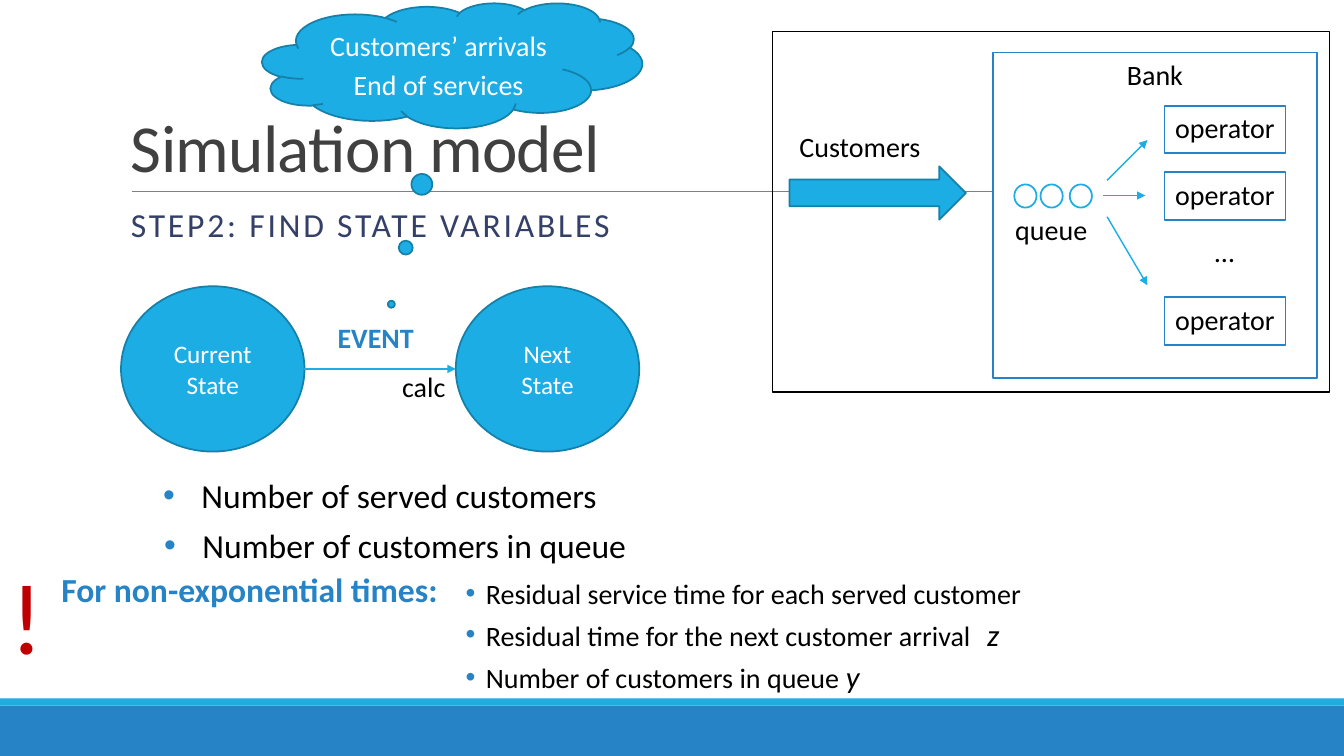
"""Build the simulation model slide about finding state variables."""
import pptx
import pptx.dml.color
import pptx.enum.shapes
import pptx.enum.text
import pptx.oxml.ns
import pptx.util
from lxml import etree

Inches = pptx.util.Inches
Pt = pptx.util.Pt
RGBColor = pptx.dml.color.RGBColor
Shape = pptx.enum.shapes.MSO_SHAPE
Align = pptx.enum.text.PP_ALIGN
Anchor = pptx.enum.text.MSO_ANCHOR
qn = pptx.oxml.ns.qn

SKY = RGBColor(0x1C, 0xAD, 0xE4)
SKY_EDGE = RGBColor(0x15, 0x80, 0xA9)
BLUE = RGBColor(0x26, 0x83, 0xC6)
NAVY = RGBColor(0x34, 0x40, 0x68)
CHARCOAL = RGBColor(0x40, 0x40, 0x40)
GRAY = RGBColor(0x80, 0x80, 0x80)
RED = RGBColor(0xC0, 0, 0)
BLACK = RGBColor(0, 0, 0)
WHITE = RGBColor(0xFF, 0xFF, 0xFF)

FOOTER_BARS = [((0, 7, 13.33, 0.5), BLUE), ((0, 6.93, 13.33, 0.07), SKY)]
TITLE = "Simulation model"
SUBTITLE = "STEP2: FIND STATE VARIABLES"
STATES = [("Current\vState", 1.2), ("Next\vState", 4.52)]
EVENTS = "Customers’ arrivals\nEnd of services"
OPERATOR_TOPS = [1.05, 1.71, 2.95]
QUEUE_LEFTS = [10.06, 10.32, 10.61]
QUEUE_ARROWS = [
    (10.98, 1.79, 11.38, 1.39),
    (10.94, 1.94, 11.36, 1.94),
    (10.98, 2.15, 11.38, 2.83),
]
LABELS = [
    ("calc", (3.89, 3.62, 0.64, 0.44), 20, BLACK, False),
    ("Customers", (7.83, 1.24, 1.41, 0.44), 20, BLACK, False),
    ("…", (11.95, 2.28, 0.39, 0.44), 20, BLACK, False),
    ("queue", (9.97, 2.06, 0.92, 0.44), 20, BLACK, False),
    ("EVENT", (3.25, 3.13, 0.96, 0.44), 20, BLUE, True),
    ("For non-exponential times:", (0.51, 5.59, 3.98, 0.5), 24, BLUE, True),
    ("!", (0.01, 5.44, 0.53, 1.31), 72, RED, False),
]
MAIN_VARIABLES = [
    ("Number of served customers", (1.52, 4.46, 4.54, 0.64)),
    ("Number of customers in queue", (1.53, 4.96, 4.82, 0.64)),
]
EXTRA_VARIABLES = [
    ("Residual service time for each served customer", "", (4.52, 5.67, 5.95, 0.44)),
    ("Residual time for the next customer arrival\t", "z", (4.52, 6.06, 5.57, 0.47)),
    ("Number of customers in queue ", "y", (4.52, 6.48, 4.14, 0.47)),
]
SYMBOL_TAB = 5.2


def style_text(box, text, size, color, bold=False, align=None, spacing=None):
    box.text_frame.text = text
    for para in box.text_frame.paragraphs:
        para.alignment = align
        para.line_spacing = spacing
        for span in para.runs:
            style_span(span, size, color, bold)


def style_span(span, size, color, bold=False):
    span.font.name = "Calibri"
    span.font.size = Pt(size)
    span.font.color.rgb = color
    span.font.bold = bold


def add_figure(page, kind, place, fill=None, edge=None, width=1.25):
    figure = page.shapes.add_shape(kind, *map(Inches, place))
    figure.shadow.inherit = False
    if fill is None:
        figure.fill.background()
    else:
        figure.fill.solid()
        figure.fill.fore_color.rgb = fill
    if edge is None:
        figure.line.fill.background()
    else:
        figure.line.color.rgb = edge
        figure.line.width = Pt(width)
    return figure


def add_line(page, ends, color, width, arrow=True):
    line = page.shapes.add_connector(
        pptx.enum.shapes.MSO_CONNECTOR.STRAIGHT, *map(Inches, ends))
    line.line.color.rgb = color
    line.line.width = Pt(width)
    if arrow:
        etree.SubElement(line.line._get_or_add_ln(), qn("a:tailEnd"), type="triangle")
    etree.SubElement(line._element.spPr, qn("a:effectLst"))


def add_label(page, text, place, size, color, bold=False, spacing=None):
    box = page.shapes.add_textbox(*map(Inches, place))
    box.text_frame.word_wrap = False
    box.text_frame.auto_size = pptx.enum.text.MSO_AUTO_SIZE.SHAPE_TO_FIT_TEXT
    style_text(box, text, size, color, bold, spacing=spacing)
    return box


def add_heading(page, text, place, size, color, spacing, tracking, anchor):
    box = page.shapes.add_textbox(*map(Inches, place))
    box.text_frame.word_wrap = True
    box.text_frame.vertical_anchor = anchor
    style_text(box, text, size, color, spacing=spacing)
    box.text_frame.paragraphs[0].runs[0].font._element.set("spc", str(tracking))


def add_bullet(para, indent, tab=None):
    properties = para._p.get_or_add_pPr()
    properties.set("marL", str(Inches(indent)))
    properties.set("indent", str(-Inches(indent)))
    color = etree.SubElement(properties, qn("a:buClr"))
    etree.SubElement(color, qn("a:srgbClr"), val=str(BLUE))
    etree.SubElement(properties, qn("a:buFont"), typeface="Arial")
    etree.SubElement(properties, qn("a:buChar"), char="•")
    if tab:
        tabs = etree.SubElement(properties, qn("a:tabLst"))
        etree.SubElement(tabs, qn("a:tab"), pos=str(Inches(tab)), algn="l")


def add_bank(page):
    bank = add_figure(page, Shape.RECTANGLE, (9.85, 0.52, 3.21, 3.23), WHITE, BLUE)
    bank.text_frame.vertical_anchor = Anchor.TOP
    style_text(bank, "Bank", 20, BLACK, align=Align.CENTER)
    add_figure(page, Shape.RIGHT_ARROW, (7.83, 1.65, 1.75, 0.53), SKY, SKY_EDGE)
    for top in OPERATOR_TOPS:
        operator = add_figure(page, Shape.RECTANGLE, (11.55, top, 1.2, 0.47), WHITE, BLUE)
        operator.text_frame.vertical_anchor = Anchor.TOP
        style_text(operator, "operator", 20, BLACK, align=Align.CENTER)
    for left in QUEUE_LEFTS:
        add_figure(page, Shape.OVAL, (left, 1.83, 0.22, 0.23), WHITE, SKY)
    for ends in QUEUE_ARROWS:
        add_line(page, ends, SKY, 1)
    add_figure(page, Shape.RECTANGLE, (7.66, 0.31, 5.53, 3.58), edge=BLACK, width=1)


def main():
    deck = pptx.Presentation()
    deck.slide_width, deck.slide_height = Inches(13.33), Inches(7.5)
    page = deck.slides.add_slide(deck.slide_layouts[6])

    for place, color in FOOTER_BARS:
        add_figure(page, Shape.RECTANGLE, place, color)
    add_line(page, (1.31, 1.9, 12.21, 1.9), GRAY, 0.5, arrow=False)
    add_heading(page, TITLE, (1.2, 0.31, 11, 1.59), 48, CHARCOAL, 0.85, -50, Anchor.BOTTOM)
    add_heading(page, SUBTITLE, (1.2, 2.02, 8.03, 0.54), 24, NAVY, 0.9, 200, Anchor.TOP)

    for text, left in STATES:
        state = add_figure(page, Shape.OVAL, (left, 2.84, 1.82, 1.64), SKY, SKY_EDGE)
        style_text(state, text, 18, WHITE, align=Align.CENTER)
    add_line(page, (3.02, 3.66, 4.52, 3.66), SKY, 1)

    add_bank(page)
    for label in LABELS:
        add_label(page, *label)

    for text, place in MAIN_VARIABLES:
        box = add_label(page, text, place, 24, BLACK, spacing=1.5)
        add_bullet(box.text_frame.paragraphs[0], 0.38)
    for text, symbol, place in EXTRA_VARIABLES:
        box = add_label(page, text, place, 20, BLACK)
        para = box.text_frame.paragraphs[0]
        add_bullet(para, 0.2, SYMBOL_TAB if "\t" in text else None)
        if symbol:
            span = para.add_run()
            span.text = symbol
            style_span(span, 22, BLACK)
            span.font.italic = True

    cloud = add_figure(page, Shape.CLOUD_CALLOUT, (2.6, 0.03, 3.77, 1.24), SKY, SKY_EDGE)
    cloud.adjustments[0], cloud.adjustments[1] = -0.16, 1.91
    style_text(cloud, EVENTS, 20, WHITE, align=Align.CENTER, spacing=1.14)

    deck.save("out.pptx")


if __name__ == "__main__":
    main()
